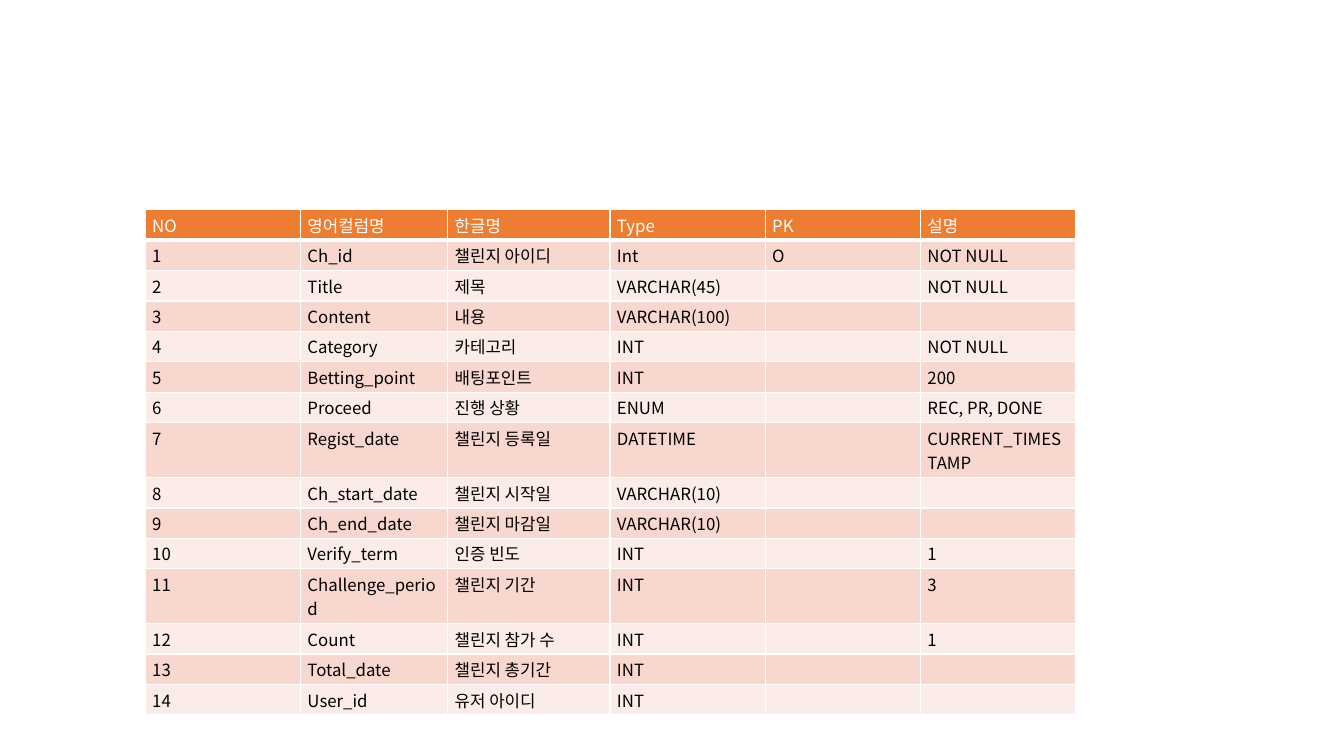
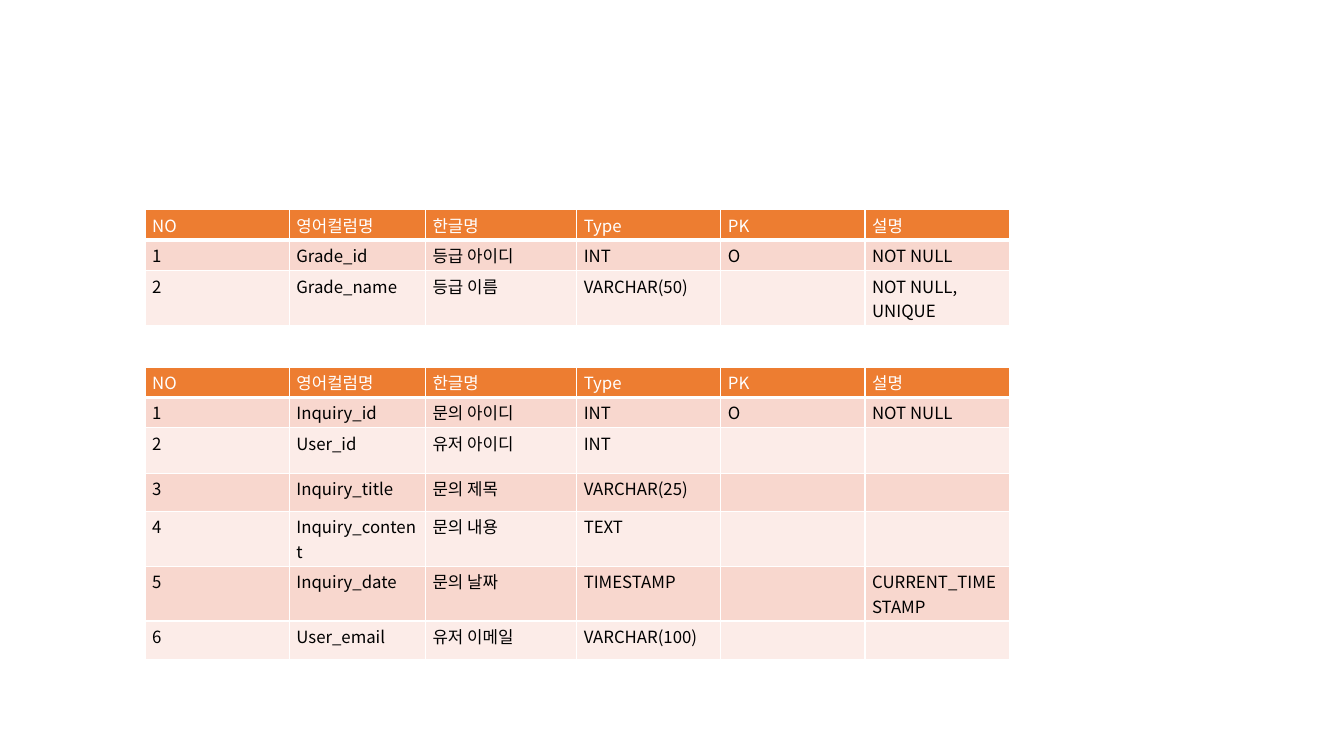
import pptx
import pptx.util
import pptx.dml.color
import pptx.oxml.ns
from dataclasses import dataclass
from lxml import etree
from pptx.util import Inches, Pt


@dataclass(frozen=True)
class Theme:
    font: str = "Noto Sans CJK KR"
    size: int = 12
    header_fill: str = "ED7D31"
    bands: tuple = ("F8D7CE", "FCECE8")
    header_text: str = "FFFFFF"
    body_text: str = "000000"
    rule: str = "FFFFFF"
    thin: int = 1
    thick: int = 3
    inset_x: float = 0.07
    inset_y: float = 0.03


THEME = Theme()
LEFT = 1.44
LINE, MEDIUM, TALL, DOUBLE = 0.27, 0.38, 0.45, 0.47
WIDE_COLUMNS = (1.54, 1.46, 1.61, 1.54, 1.54, 1.54)
NARROW_COLUMNS = (1.43, 1.35, 1.5, 1.43, 1.43, 1.43)
HEADINGS = ("NO", "영어컬럼명", "한글명", "Type", "PK", "설명")

CHALLENGE = [
    ("Ch_id", "챌린지 아이디", "Int", "O", "NOT NULL"),
    ("Title", "제목", "VARCHAR(45)", "", "NOT NULL"),
    ("Content", "내용", "VARCHAR(100)", "", ""),
    ("Category", "카테고리", "INT", "", "NOT NULL"),
    ("Betting_point", "배팅포인트", "INT", "", "200"),
    ("Proceed", "진행 상황", "ENUM", "", "REC, PR, DONE"),
    ("Regist_date", "챌린지 등록일", "DATETIME", "", "CURRENT_TIMESTAMP"),
    ("Ch_start_date", "챌린지 시작일", "VARCHAR(10)", "", ""),
    ("Ch_end_date", "챌린지 마감일", "VARCHAR(10)", "", ""),
    ("Verify_term", "인증 빈도", "INT", "", "1"),
    ("Challenge_period", "챌린지 기간", "INT", "", "3"),
    ("Count", "챌린지 참가 수", "INT", "", "1"),
    ("Total_date", "챌린지 총기간", "INT", "", ""),
    ("User_id", "유저 아이디", "INT", "", ""),
]
GRADE = [
    ("Grade_id", "등급 아이디", "INT", "O", "NOT NULL"),
    ("Grade_name", "등급 이름", "VARCHAR(50)", "", "NOT NULL, UNIQUE"),
]
INQUIRY = [
    ("Inquiry_id", "문의 아이디", "INT", "O", "NOT NULL"),
    ("User_id", "유저 아이디", "INT", "", ""),
    ("Inquiry_title", "문의 제목", "VARCHAR(25)", "", ""),
    ("Inquiry_content", "문의 내용", "TEXT", "", ""),
    ("Inquiry_date", "문의 날짜", "TIMESTAMP", "", "CURRENT_TIMESTAMP"),
    ("User_email", "유저 이메일", "VARCHAR(100)", "", ""),
]

SLIDES = [
    [dict(fields=CHALLENGE, top=2.08, columns=WIDE_COLUMNS,
          heights=[LINE] * 7 + [DOUBLE] + [LINE] * 7)],
    [dict(fields=GRADE, top=2.08, columns=NARROW_COLUMNS,
          heights=[LINE, LINE, DOUBLE]),
     dict(fields=INQUIRY, top=3.64, columns=NARROW_COLUMNS,
          heights=[LINE, LINE, TALL, MEDIUM, MEDIUM, DOUBLE, MEDIUM])],
]


def rgb(color):
    return pptx.dml.color.RGBColor.from_string(color)


def add_element(parent, tag, **attributes):
    return etree.SubElement(parent, pptx.oxml.ns.qn(tag), **attributes)


def rule_cell(cell, bottom):
    properties = cell._tc.get_or_add_tcPr()
    widths = {"L": THEME.thin, "R": THEME.thin, "T": THEME.thin, "B": bottom}
    for side, width in widths.items():
        line = add_element(properties, f"a:ln{side}", w=str(Pt(width)))
        add_element(add_element(line, "a:solidFill"), "a:srgbClr", val=THEME.rule)


def write_cell(cell, text, color):
    cell.margin_left = cell.margin_right = Inches(THEME.inset_x)
    cell.margin_top = cell.margin_bottom = Inches(THEME.inset_y)
    paragraph = cell.text_frame.paragraphs[0]
    if not text:
        add_element(paragraph._p, "a:endParaRPr", sz=str(THEME.size * 100))
        return
    paragraph.text = text
    run = paragraph.runs[0]
    run.font.size = Pt(THEME.size)
    run.font.color.rgb = rgb(color)
    run.font.name = THEME.font
    add_element(run._r.get_or_add_rPr(), "a:ea", typeface=THEME.font)


def add_schema(slide, fields, top, columns, heights):
    rows = [HEADINGS] + [(str(number), *field) for number, field in enumerate(fields, 1)]
    schema = slide.shapes.add_table(
        len(rows), len(columns), Inches(LEFT), Inches(top),
        Inches(sum(columns)), Inches(sum(heights))).table
    schema.first_row = schema.horz_banding = False
    for column, width in zip(schema.columns, columns):
        column.width = Inches(width)
    for index, (row, values, height) in enumerate(zip(schema.rows, rows, heights)):
        row.height = Inches(height)
        header = index == 0
        fill = THEME.header_fill if header else THEME.bands[(index - 1) % 2]
        for cell, value in zip(row.cells, values):
            write_cell(cell, value, THEME.header_text if header else THEME.body_text)
            rule_cell(cell, THEME.thick if header else THEME.thin)
            cell.fill.solid()
            cell.fill.fore_color.rgb = rgb(fill)


def main():
    deck = pptx.Presentation()
    deck.slide_width, deck.slide_height = Inches(13.33), Inches(7.5)
    for schemas in SLIDES:
        slide = deck.slides.add_slide(deck.slide_layouts[6])
        for schema in schemas:
            add_schema(slide, **schema)
    deck.save("out.pptx")


if __name__ == "__main__":
    main()
